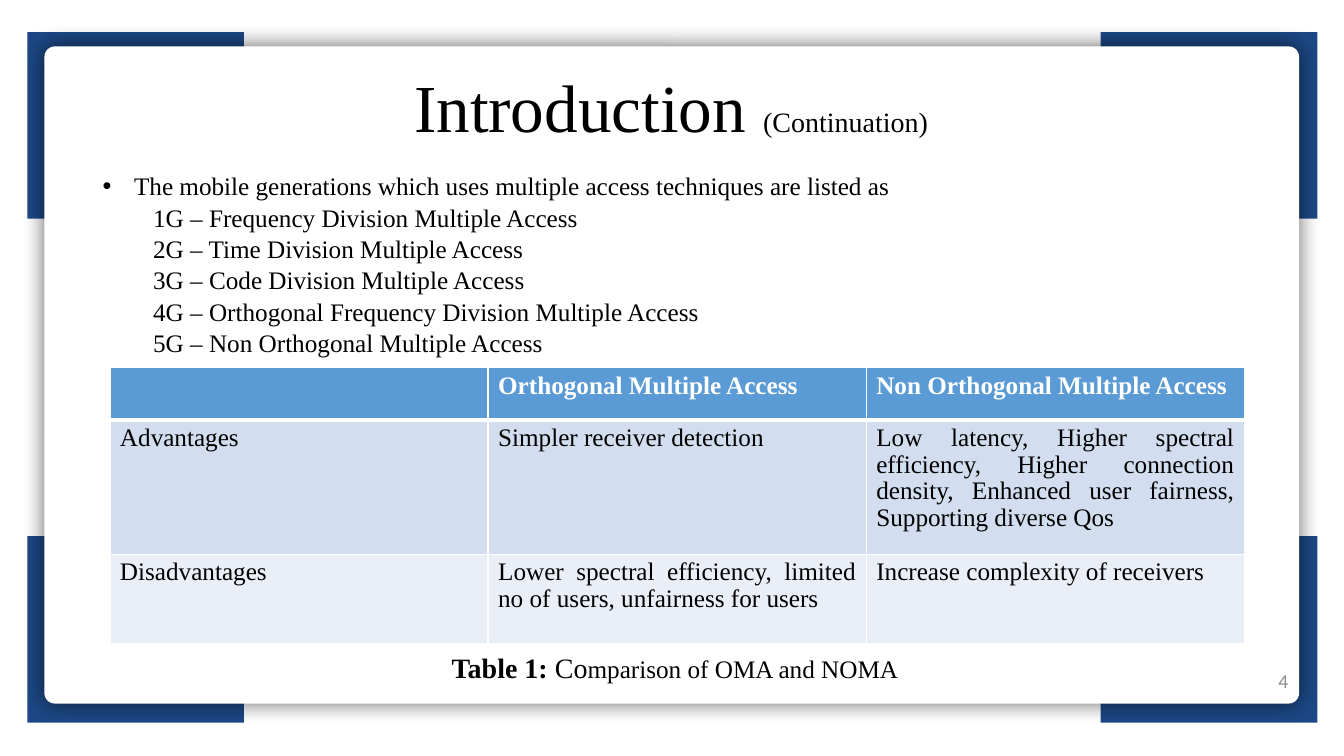
"""Build the Introduction slide comparing multiple access techniques."""
from itertools import product

from lxml.etree import SubElement
from pptx import Presentation
from pptx.dml.color import RGBColor
from pptx.enum.shapes import MSO_SHAPE as Preset
from pptx.enum.text import MSO_ANCHOR as Anchor, PP_ALIGN as Align
from pptx.oxml import parse_xml
from pptx.oxml.ns import nsdecls, qn
from pptx.util import Cm, Pt

NAVY = RGBColor(0x1C, 0x48, 0x85)
BLUE = RGBColor(0x5B, 0x9B, 0xD5)
PALE = RGBColor(0xD2, 0xDE, 0xEF)
PALER = RGBColor(0xEA, 0xEF, 0xF7)
WHITE = RGBColor(0xFF, 0xFF, 0xFF)
BLACK = RGBColor(0, 0, 0)
GREY = RGBColor(0x8C, 0x8C, 0x8C)


def write(paragraph, text, size=18, color=BLACK, bold=False,
          font="Times New Roman", align=Align.JUSTIFY, spacing=None):
    paragraph.alignment = align
    paragraph.line_spacing = spacing
    run = paragraph.add_run()
    run.text = text
    run.font.size = Pt(size)
    run.font.name = font
    run.font.bold = bold
    run.font.color.rgb = color


def add_frame(left, top, width, height, anchor=Anchor.TOP, wrap=True):
    frame = slide.shapes.add_textbox(Cm(left), Cm(top), Cm(width), Cm(height)).text_frame
    frame.word_wrap = wrap
    frame.vertical_anchor = anchor
    return frame


prs = Presentation()
prs.slide_width, prs.slide_height = Cm(33.87), Cm(19.05)
slide = prs.slides.add_slide(prs.slide_layouts[6])

for left, top in product((0.69, 27.74), (0.81, 13.51)):
    corner = slide.shapes.add_shape(Preset.RECTANGLE, Cm(left), Cm(top), Cm(5.46), Cm(4.7))
    corner.shadow.inherit = False
    corner.fill.solid()
    corner.fill.fore_color.rgb = NAVY
    corner.line.fill.background()

panel = slide.shapes.add_shape(Preset.ROUNDED_RECTANGLE, Cm(1.12), Cm(1.17), Cm(31.62), Cm(16.56))
panel.adjustments[0] = 0.016
panel.fill.solid()
panel.fill.fore_color.rgb = WHITE
panel.line.fill.background()
panel._element.spPr.append(parse_xml(
    f'<a:effectLst {nsdecls("a")}><a:outerShdw blurRad="190500" dist="0" algn="ctr" rotWithShape="0">'
    '<a:srgbClr val="000000"><a:alpha val="60000"/></a:srgbClr></a:outerShdw></a:effectLst>'))

page_number = add_frame(25.1, 16.64, 7.62, 1.02, Anchor.MIDDLE)
write(page_number.paragraphs[0], "4", size=14, color=GREY, font="Calibri", align=Align.RIGHT)

title = add_frame(2.54, 1.7, 28.75, 2.08, Anchor.BOTTOM).paragraphs[0]
write(title, "Introduction ", size=48, align=Align.CENTER, spacing=0.8)
write(title, "(Continuation)", size=20, align=Align.CENTER, spacing=0.8)

generations = add_frame(2.34, 4.14, 28.8, 5.64)
intro = generations.paragraphs[0]
write(intro, "The mobile generations which uses multiple access techniques are listed as", spacing=1.04)
intro_format = intro._p.get_or_add_pPr()
intro_format.set("marL", str(Cm(0.79)))
intro_format.set("indent", str(-Cm(0.79)))
SubElement(intro_format, qn("a:buFont")).set("typeface", "Arial")
SubElement(intro_format, qn("a:buChar")).set("char", "•")
techniques = ("Frequency Division", "Time Division", "Code Division",
              "Orthogonal Frequency Division", "Non Orthogonal")
for number, technique in enumerate(techniques, 1):
    generation = generations.add_paragraph()
    generation.level = 1
    write(generation, f"{number}G – {technique} Multiple Access", spacing=1.04)
    generation_format = generation._p.get_or_add_pPr()
    generation_format.set("marL", str(Cm(1.27)))
    generation_format.set("indent", "0")

comparison = (
    (1.32, BLUE, ("", "Orthogonal Multiple Access", "Non Orthogonal Multiple Access")),
    (3.38, PALE, ("Advantages", "Simpler receiver detection",
                  "Low latency, Higher spectral efficiency, Higher connection density, "
                  "Enhanced user fairness, Supporting diverse Qos")),
    (2.26, PALER, ("Disadvantages",
                   "Lower spectral efficiency, limited no of users, unfairness for users",
                   "Increase complexity of receivers")),
)
table = slide.shapes.add_table(3, 3, Cm(2.77), Cm(9.27), Cm(28.59), Cm(6.96)).table
for column in table.columns:
    column.width = Cm(9.53)
for row, (height, fill, texts) in enumerate(comparison):
    table.rows[row].height = Cm(height)
    header = row == 0
    for col, text in enumerate(texts):
        cell = table.cell(row, col)
        borders = cell._tc.get_or_add_tcPr()
        for side in "LRTB":
            thick = (side == "B" and row == 0) or (side == "T" and row == 1)
            border = SubElement(borders, qn(f"a:ln{side}"), w=str(Pt(3 if thick else 1)))
            SubElement(SubElement(border, qn("a:solidFill")), qn("a:srgbClr"), val=str(WHITE))
        cell.fill.solid()
        cell.fill.fore_color.rgb = fill
        if text:
            write(cell.text_frame.paragraphs[0], text, bold=header,
                  color=WHITE if header else BLACK, spacing=0.95)

caption = add_frame(11.13, 16.26, 11.89, 1.12, wrap=False).paragraphs[0]
write(caption, "Table 1: ", size=20, bold=True, align=Align.LEFT)
write(caption, "Co", size=20, align=Align.LEFT)
write(caption, "mparison of OMA and NOMA", align=Align.LEFT)

prs.save("out.pptx")
